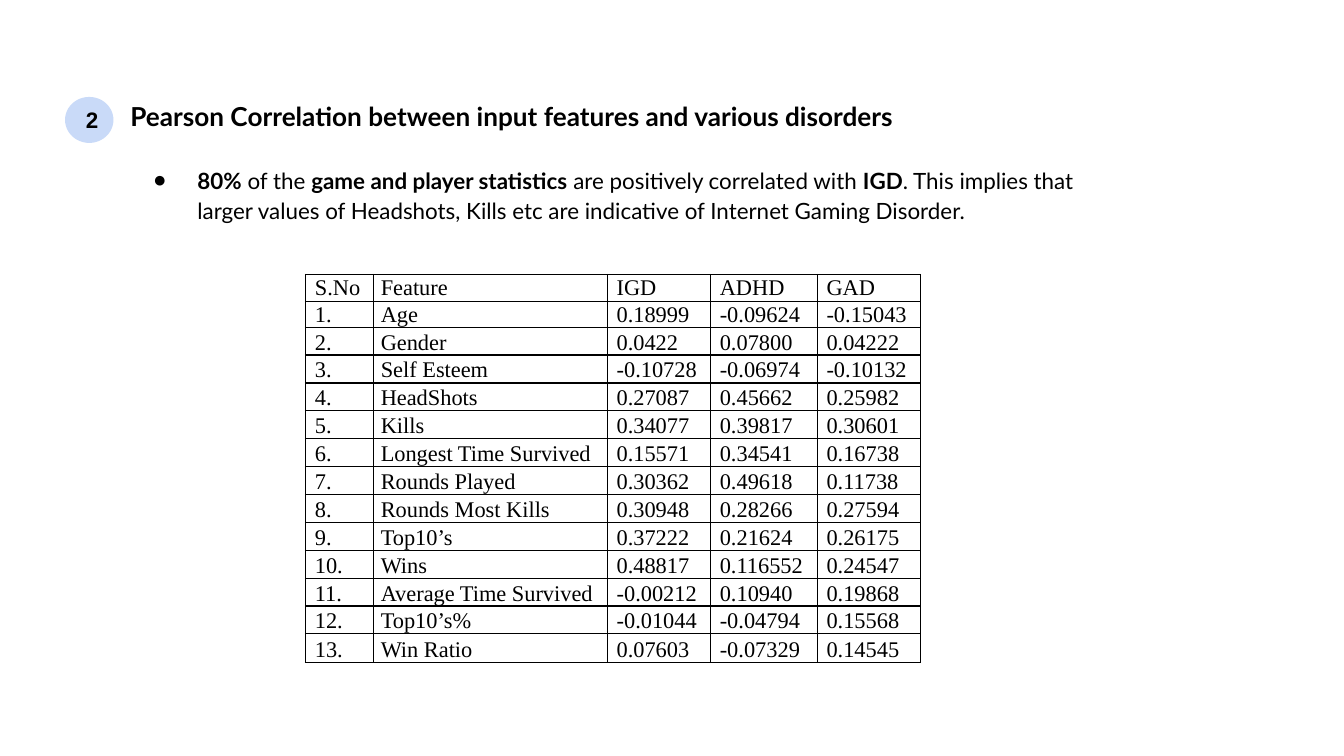
"""Build the slide on correlations between game features and disorders."""
import pptx
import pptx.dml.color
import pptx.enum.shapes
import pptx.enum.text
import pptx.oxml.ns
import pptx.util
from lxml import etree

Pt = pptx.util.Pt
ANCHOR = pptx.enum.text.MSO_ANCHOR
ALIGN = pptx.enum.text.PP_ALIGN
BLACK = pptx.dml.color.RGBColor(0x00, 0x00, 0x00)
PALE_BLUE = pptx.dml.color.RGBColor(0xC9, 0xDA, 0xF8)

NUMBER = "2"
TITLE = "Pearson Correlation between input features and various disorders"
FINDING = [
    ("80%", True),
    (" of the ", False),
    ("game and player statistics", True),
    (" are positively correlated with ", False),
    ("IGD", True),
    (". This implies that larger values of Headshots, Kills etc are "
     "indicative of Internet Gaming Disorder.", False),
]
HEADINGS = ("S.No", "Feature", "IGD", "ADHD", "GAD")
FEATURES = [
    ("Age", "0.18999", "-0.09624", "-0.15043"),
    ("Gender", "0.0422", "0.07800", "0.04222"),
    ("Self Esteem", "-0.10728", "-0.06974", "-0.10132"),
    ("HeadShots", "0.27087", "0.45662", "0.25982"),
    ("Kills", "0.34077", "0.39817", "0.30601"),
    ("Longest Time Survived", "0.15571", "0.34541", "0.16738"),
    ("Rounds Played", "0.30362", "0.49618", "0.11738"),
    ("Rounds Most Kills", "0.30948", "0.28266", "0.27594"),
    ("Top10’s", "0.37222", "0.21624", "0.26175"),
    ("Wins", "0.48817", "0.116552", "0.24547"),
    ("Average Time Survived", "-0.00212", "0.10940", "0.19868"),
    ("Top10’s%", "-0.01044", "-0.04794", "0.15568"),
    ("Win Ratio", "0.07603", "-0.07329", "0.14545"),
]
COLUMN_WIDTHS = (36.5, 125.2, 55.3, 57.2, 55.3)
CELL_INDENTS = (5, 3.8, 5, 5, 5)
MIDDLE_ROWS = len(FEATURES) - 2
ROW_HEIGHTS = [14.4, 13.6] + [14.9] * MIDDLE_ROWS + [15]
LINE_SPACINGS = [1.05, 1.04] + [1.12] * MIDDLE_ROWS + [1.14]


def place(shape, left, top, width, height):
    shape.left, shape.top = Pt(left), Pt(top)
    shape.width, shape.height = Pt(width), Pt(height)


def set_frame(frame, anchor):
    frame.margin_left = frame.margin_right = Pt(7.2)
    frame.margin_top = frame.margin_bottom = Pt(7.2)
    frame.word_wrap = True
    frame.auto_size = pptx.enum.text.MSO_AUTO_SIZE.NONE
    frame.vertical_anchor = anchor


def style(span, size, name, bold):
    span.font.size = Pt(size)
    span.font.name = name
    span.font.bold = bold
    span.font.color.rgb = BLACK


def add_element(parent, tag, **attributes):
    return etree.SubElement(parent, pptx.oxml.ns.qn(tag), **attributes)


def indent(para, left, first=0):
    properties = para._p.get_or_add_pPr()
    properties.set("marL", str(Pt(left)))
    properties.set("indent", str(Pt(first)))
    return properties


def add_title(page):
    box = page.shapes.title
    place(box, 62.6, 46.8, 702, 74.9)
    box.text_frame.text = TITLE
    set_frame(box.text_frame, ANCHOR.TOP)
    para = box.text_frame.paragraphs[0]
    para.alignment = ALIGN.JUSTIFY
    para.space_before = Pt(5)
    style(para.runs[0], 14, "Lato", True)


def add_finding(page):
    box = page.placeholders[1]
    place(box, 62.6, 79.9, 537.1, 269.3)
    set_frame(box.text_frame, ANCHOR.TOP)
    para = box.text_frame.paragraphs[0]
    para.alignment = ALIGN.LEFT
    para.line_spacing = 1.15
    para.space_before = Pt(0)
    properties = indent(para, 36, -23.8)
    color = add_element(properties, "a:buClr")
    add_element(color, "a:srgbClr", val=str(BLACK))
    add_element(properties, "a:buChar", char="●")
    for words, bold in FINDING:
        span = para.add_run()
        span.text = words
        style(span, 12, "Lato", bold)


def add_borders(cell):
    properties = cell._tc.get_or_add_tcPr()
    for side in ("a:lnL", "a:lnR", "a:lnT", "a:lnB"):
        line = add_element(properties, side, w=str(Pt(0.75)))
        fill = add_element(line, "a:solidFill")
        add_element(fill, "a:srgbClr", val=str(BLACK))


def fill_cell(cell, words, left, spacing):
    cell.margin_left = cell.margin_right = 0
    cell.margin_top = cell.margin_bottom = 0
    add_borders(cell)
    cell.fill.background()
    cell.text_frame.text = words
    para = cell.text_frame.paragraphs[0]
    para.alignment = ALIGN.JUSTIFY
    para.line_spacing = spacing
    indent(para, left)
    style(para.runs[0], 12, "Times New Roman", False)


def add_correlations(page):
    rows = [HEADINGS]
    rows += [(f"{number}.", *row) for number, row in enumerate(FEATURES, 1)]
    table = page.shapes.add_table(
        len(rows), len(HEADINGS), Pt(163.7), Pt(147),
        Pt(sum(COLUMN_WIDTHS)), Pt(sum(ROW_HEIGHTS))).table
    table.first_row = table.horz_banding = False
    for column, width in zip(table.columns, COLUMN_WIDTHS):
        column.width = Pt(width)
    for row, height, spacing, texts in zip(
            table.rows, ROW_HEIGHTS, LINE_SPACINGS, rows):
        row.height = Pt(height)
        for cell, words, left in zip(row.cells, texts, CELL_INDENTS):
            fill_cell(cell, words, left, spacing)


def add_badge(page):
    badge = page.shapes.add_shape(
        pptx.enum.shapes.MSO_SHAPE.OVAL, Pt(35.2), Pt(52.3), Pt(25.2), Pt(23.9))
    badge.shadow.inherit = False
    badge.fill.solid()
    badge.fill.fore_color.rgb = PALE_BLUE
    badge.line.color.rgb = PALE_BLUE
    badge.line.width = Pt(0.75)
    badge.text_frame.text = NUMBER
    set_frame(badge.text_frame, ANCHOR.MIDDLE)
    para = badge.text_frame.paragraphs[0]
    para.alignment = ALIGN.LEFT
    style(para.runs[0], 12, "Arial", True)


def main():
    deck = pptx.Presentation()
    deck.slide_width, deck.slide_height = Pt(720), Pt(405)
    page = deck.slides.add_slide(deck.slide_layouts[1])
    add_title(page)
    add_finding(page)
    add_correlations(page)
    add_badge(page)
    deck.save("out.pptx")


if __name__ == "__main__":
    main()
